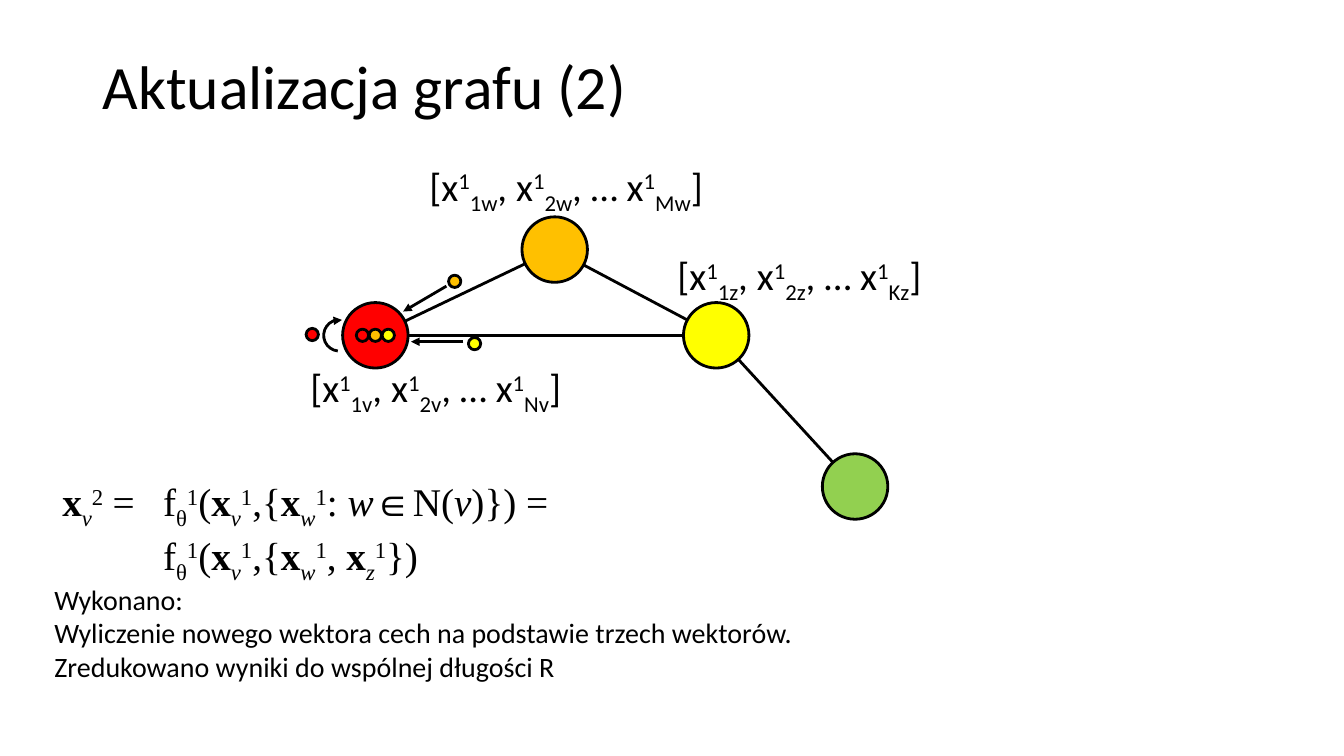
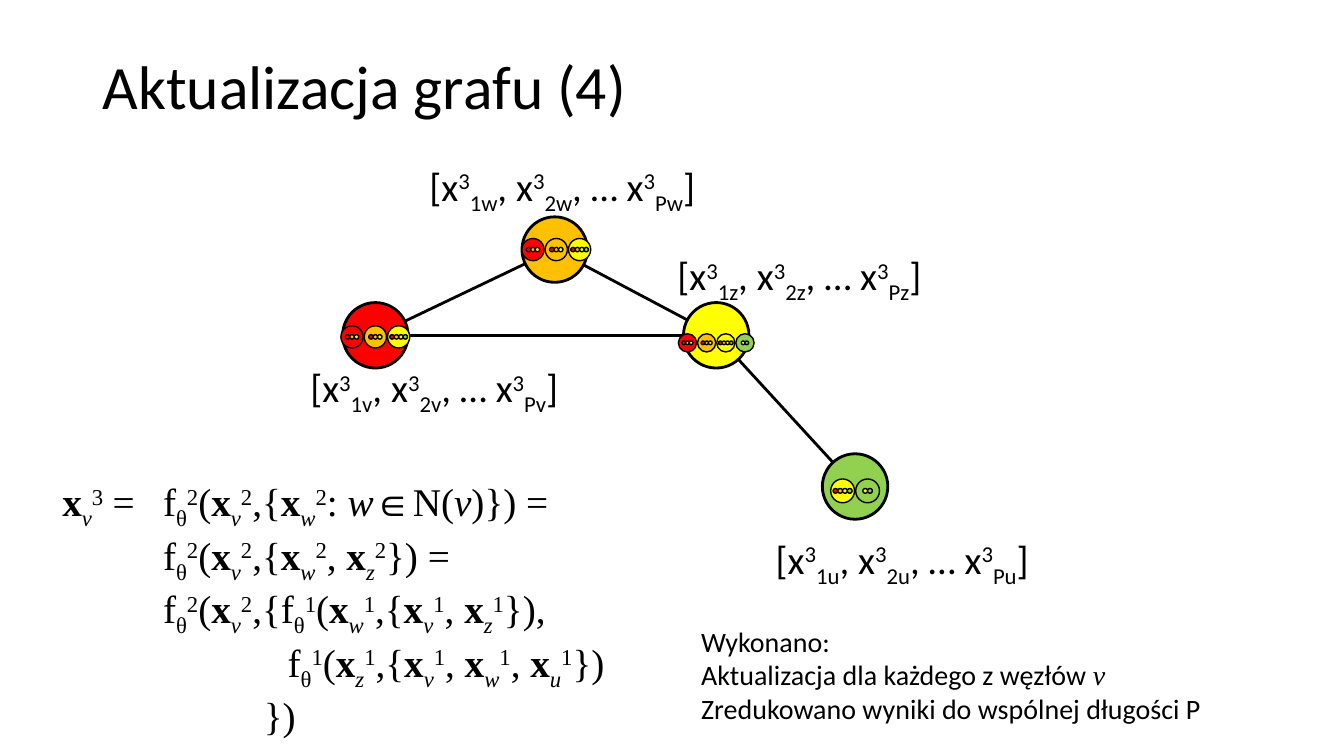
from lxml import etree
from pptx import Presentation
from pptx.dml.color import RGBColor
from pptx.enum.shapes import MSO_CONNECTOR, MSO_SHAPE
from pptx.enum.text import MSO_ANCHOR, PP_ALIGN
from pptx.oxml.ns import qn
from pptx.util import Cm, Pt

COLORS = {"ink": "000000", "v": "FF0000", "w": "FFC000", "z": "FFFF00", "u": "92D050"}
SANS, SERIF = "Calibri", "Times New Roman"
SUB, SUP = {"base": -25}, {"base": 30}
ITALIC = {"italic": True}

# Lengths are in centimetres.
NODE_SIZE = 1.65
CENTERS = {"v": (9.46, 8.45), "w": (13.98, 6.29), "z": (18.05, 8.45), "u": (21.55, 12.26)}
EDGES = ["wv", "wz", "zv", "zu"]
NEIGHBOURHOODS = {"v": "vwz", "w": "vwz", "z": "vwzu", "u": "zu"}
LABEL_BOXES = {"v": (7.57, 9.04, 7.2), "w": (10.57, 3.96, 7.87),
               "z": (16.82, 6.22, 7.1), "u": (19.3, 13.36, 7.4)}
FORMULA_TABS = (1.35, 2.38)
INDENT = 2.54


def rgb(name):
    return RGBColor.from_string(COLORS[name])


def add_run(p, text, size=28, font=SANS, bold=False, italic=False, base=0):
    """Append a run; base is the percentage it is raised (or lowered, if negative)."""
    r = p.add_run()
    r.text = text
    r.font.size, r.font.name = Pt(size), font
    r.font.bold, r.font.italic = bold, italic
    r.font.color.rgb = rgb("ink")
    if base:
        r._r.get_or_add_rPr().set("baseline", str(base * 1000))


def add_runs(p, runs, **style):
    """Append runs given as plain strings or (text, format) pairs."""
    for item in runs:
        text, extra = (item, {}) if isinstance(item, str) else item
        add_run(p, text, **{**style, **extra})


def add_arrowhead(shape):
    etree.SubElement(shape.line._get_or_add_ln(), qn("a:tailEnd"), type="triangle")


def indent_formula(p, left):
    pPr = p._p.get_or_add_pPr()
    pPr.set("marL", str(Cm(left)))
    pPr.set("indent", "0")
    tabs = etree.SubElement(pPr, qn("a:tabLst"))
    for pos in FORMULA_TABS:
        etree.SubElement(tabs, qn("a:tab"), pos=str(Cm(pos)), algn="l")


def vector(node, k):
    return [("x", {"bold": True}), (node, {**ITALIC, **SUB}), (str(k), SUP)]


def vectors(nodes, k):
    runs = []
    for i, node in enumerate(nodes):
        runs += ([", "] if i else []) + vector(node, k)
    return runs


def call_head(k, node):
    """Opening of the layer function, up to its set of neighbours."""
    return ["f", ("θ", SUB), (str(k), SUP), "(", *vector(node, k), ",{"]


def update_rows(k, end=""):
    """First two formula rows, as (indent, runs)."""
    return [
        (0, vector("v", k + 1) + ["\t=\t"] + call_head(k, "v") + vector("w", k)
         + [": ", ("w", ITALIC), "∈N(", ("v", ITALIC), ")}) ="]),
        (INDENT, call_head(k, "v") + vectors("wz", k) + ["})" + end]),
    ]


class Deck:
    def __init__(self):
        self.prs = Presentation()
        self.prs.slide_width, self.prs.slide_height = Cm(33.87), Cm(19.05)
        self.s = None

    def new_slide(self, title):
        self.s = self.prs.slides.add_slide(self.prs.slide_layouts[5])
        sp = self.s.shapes.title
        sp.left, sp.top, sp.width, sp.height = Cm(2.34), Cm(1.02), Cm(29.21), Cm(2.46)
        sp.text_frame.vertical_anchor = MSO_ANCHOR.MIDDLE
        p = sp.text_frame.paragraphs[0]
        p.alignment, p.line_spacing = PP_ALIGN.LEFT, 0.9
        add_run(p, title, size=44)

    def text(self, x, y, w, h, rows, **style):
        """Add a text box with one paragraph per list of runs."""
        tf = self.s.shapes.add_textbox(Cm(x), Cm(y), Cm(w), Cm(h)).text_frame
        tf.word_wrap = True
        for i, runs in enumerate(rows):
            p = tf.add_paragraph() if i else tf.paragraphs[0]
            add_runs(p, runs, **style)
        return tf

    def formula(self, rows, height):
        tf = self.text(1.32, 11.91, 16.94, height, [runs for _, runs in rows], font=SERIF)
        for p, (left, _) in zip(tf.paragraphs, rows):
            indent_formula(p, left)

    def label(self, node, k, length):
        x, y, w = LABEL_BOXES[node]
        runs = []
        for lead, index in (("[x", "1"), (", x", "2"), (", … x", length)):
            runs += [lead, (str(k), SUP), (index + node, SUB)]
        self.text(x, y, w, 1.45, [runs + ["]"]])

    def line(self, x1, y1, x2, y2, arrow=False):
        c = self.s.shapes.add_connector(MSO_CONNECTOR.STRAIGHT, Cm(x1), Cm(y1), Cm(x2), Cm(y2))
        c.line.color.rgb, c.line.width = rgb("ink"), Pt(2)
        if arrow:
            add_arrowhead(c)
        etree.SubElement(c._element.spPr, qn("a:effectLst"))

    def circle(self, cx, cy, d, color, weight=2, shapes=None):
        shapes = self.s.shapes if shapes is None else shapes
        sp = shapes.add_shape(MSO_SHAPE.OVAL, Cm(cx - d / 2), Cm(cy - d / 2), Cm(d), Cm(d))
        sp.shadow.inherit = False
        sp.fill.solid()
        sp.fill.fore_color.rgb = rgb(color)
        sp.line.color.rgb, sp.line.width = rgb("ink"), Pt(weight)

    def features(self, node, cx, cy, d, nested=False):
        """Add a grouped row of discs, one per neighbour, optionally with their own dots."""
        shapes = self.s.shapes.add_group_shape().shapes
        weight = 1 if nested else 2

        def row(owner, x, d, pitch):
            members = NEIGHBOURHOODS[owner]
            for i, member in enumerate(members):
                mx = x + (i - (len(members) - 1) / 2) * pitch
                self.circle(mx, cy, d, member, weight, shapes)
                yield member, mx

        for member, x in row(node, cx, d, d * 1.05):
            if nested:
                list(row(member, x, d / 5, d / 5))

    def self_loop(self, cx, cy, d):
        sp = self.s.shapes.add_shape(MSO_SHAPE.ARC, Cm(cx - d / 2), Cm(cy - d / 2), Cm(d), Cm(d))
        sp.shadow.inherit = False
        sp.adjustments[0], sp.adjustments[1] = 162, 56.38
        sp.rotation = 185.6
        sp.fill.background()
        sp.line.color.rgb, sp.line.width = rgb("ink"), Pt(2)
        add_arrowhead(sp)

    def graph(self, k, lengths):
        """Add edges, nodes and the feature labels of layer k."""
        for a, b in EDGES:
            self.line(*CENTERS[a], *CENTERS[b])
        for node, center in CENTERS.items():
            self.circle(*center, NODE_SIZE, node)
        for node, length in lengths.items():
            self.label(node, k, length)


def add_second_step(deck):
    deck.new_slide("Aktualizacja grafu (2)")
    deck.graph(1, {"v": "N", "w": "M", "z": "K"})
    deck.text(1.12, 14.55, 19.25, 2.82, [
        ["Wykonano:"],
        ["Wyliczenie nowego wektora cech na podstawie trzech wektorów."],
        ["Zredukowano wyniki do wspólnej długości R"],
    ], size=20)
    deck.formula(update_rows(1), 2.64)
    deck.features("v", *CENTERS["v"], 0.31)
    deck.line(11.25, 7.21, 10.16, 7.85, arrow=True)
    deck.line(11.68, 8.61, 10.36, 8.61, arrow=True)
    for node, x, y in (("w", 11.46, 7.09), ("z", 11.96, 8.66), ("v", 7.87, 8.43)):
        deck.circle(x, y, 0.31, node)
    deck.self_loop(8.55, 8.45, 0.79)


def add_fourth_step(deck):
    deck.new_slide("Aktualizacja grafu (4)")
    deck.graph(3, dict.fromkeys("vwzu", "P"))
    deck.formula(update_rows(2, " =") + [
        (INDENT, call_head(2, "v") + call_head(1, "w") + vectors("vz", 1) + ["}),"]),
        (5.68, call_head(1, "z") + vectors("vwu", 1) + ["})"]),
        (2 * INDENT, ["})"]),
    ], 6.25)
    for node, dx, dy, d in (("u", 0, 0.11, 0.6), ("z", 0, 0.19, 0.46),
                            ("v", 0, 0.04, 0.56), ("w", 0.04, 0, 0.56)):
        x, y = CENTERS[node]
        deck.features(node, x + dx, y + dy, d, nested=True)
    deck.text(17.42, 15.6, 13.59, 2.82, [
        ["Wykonano:"],
        ["Aktualizacja dla każdego z węzłów ", ("v", {"font": SERIF, **ITALIC})],
        ["Zredukowano wyniki do wspólnej długości P"],
    ], size=20)


def main():
    deck = Deck()
    add_second_step(deck)
    add_fourth_step(deck)
    deck.prs.save("out.pptx")


if __name__ == "__main__":
    main()
